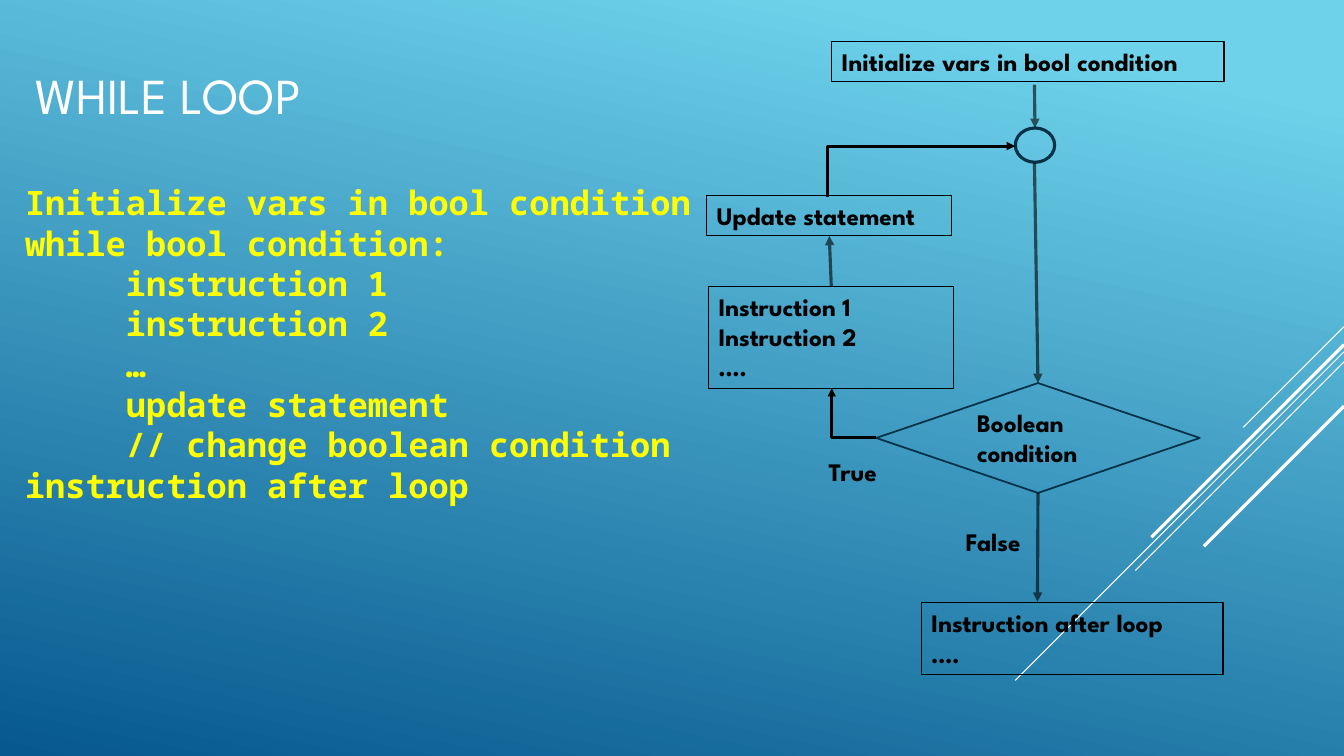
from lxml import etree
from pptx import Presentation
from pptx.dml.color import RGBColor
from pptx.enum.shapes import MSO_CONNECTOR as Link, MSO_SHAPE as Shape
from pptx.enum.text import MSO_ANCHOR as Anchor, PP_ALIGN as Align
from pptx.oxml.ns import qn
from pptx.util import Inches, Pt

COLORS = {"sky": "6ED2EB", "deep": "06588E", "white": "FFFFFF",
          "yellow": "FFFF00", "navy": "043148", "black": "000000"}
TITLE = {"name": "League Spartan", "size": Pt(36), "color": "white"}
CODE = {"name": "Noto Sans Mono", "size": Pt(24), "bold": True, "color": "yellow"}
LABEL = {"name": "League Spartan", "size": Pt(18), "bold": True, "color": "black"}

CODE_LINES = [
    "Initialize vars in bool condition",
    "while bool condition:",
    "     instruction 1",
    "     instruction 2",
    "     …",
    "     update statement",
    "     // change boolean condition",
    "instruction after loop",
]


def rgb(name):
    return RGBColor.from_string(COLORS[name])


def write(shape, lines, style, wrap=True, anchor=Anchor.TOP):
    frame = shape.text_frame
    frame.word_wrap = wrap
    frame.vertical_anchor = anchor
    for index, line in enumerate(lines):
        para = frame.add_paragraph() if index else frame.paragraphs[0]
        para.alignment = Align.LEFT
        span = para.add_run()
        span.text = line
        for key, value in style.items():
            if key == "color":
                span.font.color.rgb = rgb(value)
            else:
                setattr(span.font, key, value)


def add_text(page, box, lines, style, **layout):
    shape = page.shapes.add_textbox(*map(Inches, box))
    write(shape, lines, style, **layout)


def add_node(page, kind, box, color="black", weight=0.75, lines=()):
    node = page.shapes.add_shape(kind, *map(Inches, box))
    node.shadow.inherit = False
    node.fill.background()
    node.line.color.rgb = rgb(color)
    node.line.width = Pt(weight)
    write(node, lines, LABEL)
    return node


def add_line(page, start, end, color, weight, kind=Link.STRAIGHT):
    line = page.shapes.add_connector(kind, *map(Inches, (*start, *end)))
    line.line.color.rgb = rgb(color)
    line.line.width = Pt(weight)
    etree.SubElement(line._element.spPr, qn("a:effectLst"))
    return line


def add_arrowhead(line, tag):
    etree.SubElement(line.line._get_or_add_ln(), qn(tag), type="triangle")


def add_arrow(page, start, end, begin=None, finish=None):
    """Straight arrow in translucent black; begin and finish are (node, site)."""
    arrow = add_line(page, start, end, "black", 2.25)
    color = arrow.line._get_or_add_ln().find(".//" + qn("a:srgbClr"))
    etree.SubElement(color, qn("a:alpha"), val="60000")
    add_arrowhead(arrow, "a:tailEnd")
    if begin:
        arrow.begin_connect(*begin)
    if finish:
        arrow.end_connect(*finish)


def add_elbow(page, start, end, tag):
    """Arrow with one corner: sideways first, then up or down."""
    elbow = add_line(page, start, end, "black", 2, Link.ELBOW)
    elbow._element.spPr.find(qn("a:prstGeom")).set("prst", "bentConnector2")
    add_arrowhead(elbow, tag)


def draw_backdrop(page, width):
    # Diagonal gradient
    fill = page.background.fill
    fill.gradient()
    fill.gradient_angle = 360 - 102
    for stop, (color, position) in zip(fill.gradient_stops, [("sky", 0.1), ("deep", 1)]):
        stop.color.rgb = rgb(color)
        stop.position = position
    # 45-degree rays from the right edge: top, reach, weight
    for top, reach, weight in [(3.24, 1, 0.75), (3.49, 3.26, 0.75), (3.59, 2.07, 0.75),
                               (3.42, 1.91, 2.25), (4.03, 1.39, 2.25)]:
        add_line(page, (width, top), (width - reach, top + reach), "white", weight)


def draw_code(page, box):
    left, top, width, height = box
    add_text(page, (left + 0.1, top, 9.33, 1.65), ["WHILE LOOP"], TITLE, anchor=Anchor.MIDDLE)
    add_text(page, (left, top + 1.65, width, height - 1.65), CODE_LINES, CODE, wrap=False)


def draw_flowchart(page, box):
    left, top = box

    def at(x, y, *size):
        return (left + x, top + y, *size)

    # Nodes
    add_node(page, Shape.RECTANGLE, at(1.24, 0, 3.89, 0.4),
             lines=["Initialize vars in bool condition"])
    junction = add_node(page, Shape.OVAL, at(3.06, 0.86, 0.39, 0.34), "navy", 2.25)
    update = add_node(page, Shape.RECTANGLE, at(0, 1.53, 2.43, 0.4), lines=["Update statement"])
    body = add_node(page, Shape.RECTANGLE, at(0.02, 2.43, 2.43, 1.01),
                    lines=["Instruction 1", "Instruction 2", "…."])
    decision = add_node(page, Shape.DIAMOND, at(1.68, 3.39, 3.21, 1.09), "navy", 1.25)
    add_node(page, Shape.RECTANGLE, at(2.13, 5.57, 2.99, 0.71),
             lines=["Instruction after loop", "…."])

    # Labels
    add_text(page, at(2.58, 3.58, 1.57, 0.71), ["Boolean condition"], LABEL)
    add_text(page, at(2.47, 4.76, 0.82, 0.4), ["False"], LABEL, wrap=False)
    add_text(page, at(1.11, 4.07, 0.7, 0.4), ["True"], LABEL, wrap=False)

    # Flow
    add_arrow(page, at(3.25, 0.43), at(3.25, 0.86), finish=(junction, 0))
    add_arrow(page, at(3.25, 1.21), at(3.28, 3.39), finish=(decision, 0))
    add_arrow(page, at(3.28, 4.48), at(3.28, 5.56), begin=(decision, 2))
    add_arrow(page, at(1.24, 2.43), at(1.22, 1.94), begin=(body, 0), finish=(update, 2))
    add_elbow(page, at(1.68, 3.93), at(1.24, 3.44), "a:tailEnd")
    add_elbow(page, at(3.06, 1.04), at(1.2, 1.54), "a:headEnd")


def main():
    deck = Presentation()
    deck.slide_width, deck.slide_height = Inches(13.33), Inches(7.5)
    page = deck.slides.add_slide(deck.slide_layouts[6])
    draw_backdrop(page, 13.33)
    draw_code(page, (0.15, 0.11, 6.85, 4.98))
    draw_flowchart(page, (7.01, 0.41))
    deck.save("out.pptx")


if __name__ == "__main__":
    main()
